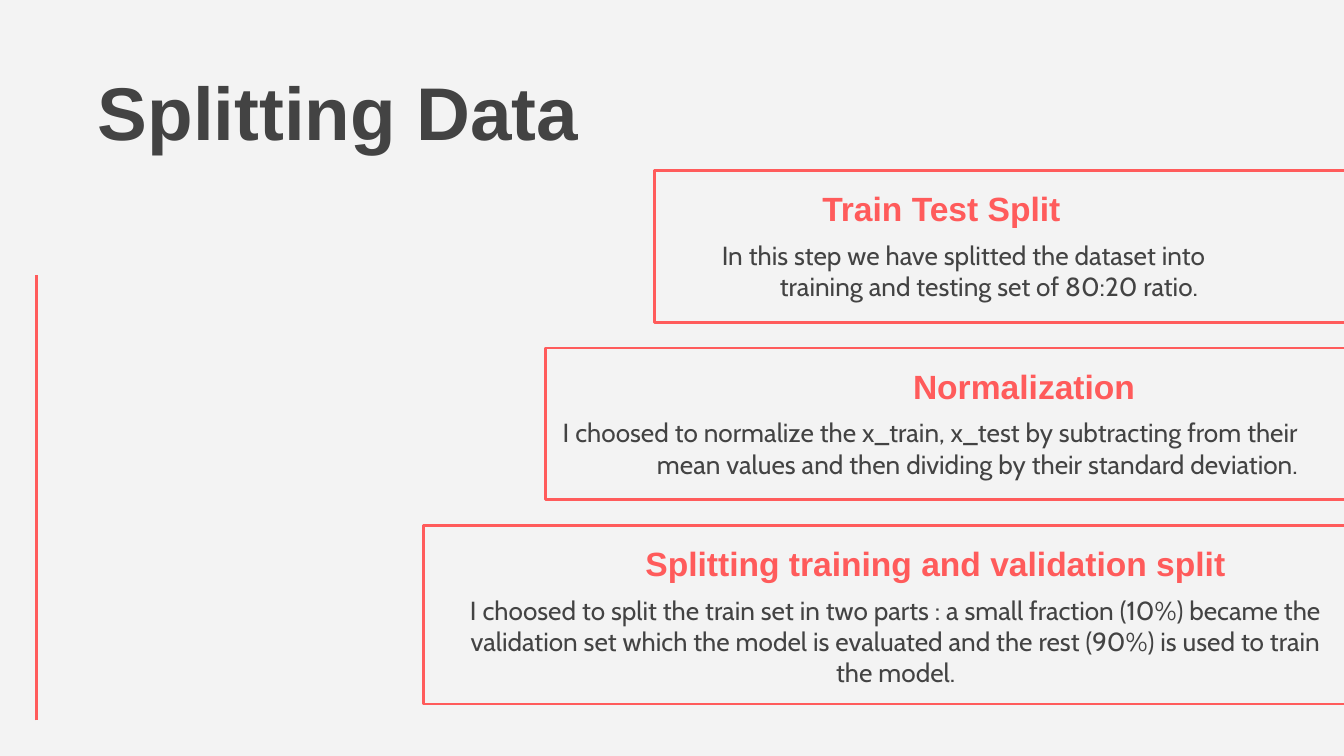
import dataclasses

import pptx
import pptx.dml.color
import pptx.enum.shapes
import pptx.enum.text
import pptx.oxml.ns
import pptx.util
from lxml import etree

Inches = pptx.util.Inches
Pt = pptx.util.Pt
Align = pptx.enum.text.PP_ALIGN
Color = pptx.dml.color.RGBColor.from_string


@dataclasses.dataclass(frozen=True)
class Theme:
    """Hold the colours, fonts and sizes of the slide."""
    paper: str = "F3F3F3"
    ink: str = "434343"
    coral: str = "FF5B5B"
    head: str = "Arial"
    body: str = "Cabin"
    large: int = 40
    mid: int = 18
    small: int = 14
    rule: float = 1.5


THEME = Theme()
RIGHT = 10.15
TOP = 1.27
STEP = 1.32

STEPS = [
    dict(left=4.87, high=1.13,
         title="Train Test Split", head=(6.02, 3.2, Align.LEFT),
         text="In this step we have splitted the dataset into training and "
              "testing set of 80:20 ratio.",
         body=(5, 4.22, Align.CENTER), dent=(0.5, -0.38)),
    dict(left=4.06, high=1.13,
         title="Normalization", head=(6.02, 3.2, Align.CENTER),
         text="I choosed to normalize the x_train, x_test by subtracting from "
              "their mean values and then dividing by their standard deviation.",
         body=(4.06, 5.7, Align.RIGHT), dent=(0, 0)),
    dict(left=3.15, high=1.33,
         title="Splitting training and validation split",
         head=(3.98, 5.24, Align.RIGHT),
         text="I choosed to split the train set in two parts : a small fraction "
              "(10%) became the validation set which the model is evaluated and "
              "the rest (90%) is used to train the model.",
         body=(3.33, 6.67, Align.CENTER), dent=(0, 0)),
]


def add_rule(slide, x, top, end):
    """Draw a vertical accent line."""
    line = slide.shapes.add_connector(
        pptx.enum.shapes.MSO_CONNECTOR.STRAIGHT,
        Inches(x), Inches(end), Inches(x), Inches(top))
    line.line.color.rgb = Color(THEME.coral)
    line.line.width = Pt(THEME.rule)
    etree.SubElement(line._element.spPr, pptx.oxml.ns.qn("a:effectLst"))


def add_frame(slide, left, top, wide, high):
    """Draw an outlined box with no fill."""
    frame = slide.shapes.add_shape(
        pptx.enum.shapes.MSO_SHAPE.RECTANGLE,
        Inches(left), Inches(top), Inches(wide), Inches(high))
    frame.shadow.inherit = False
    frame.fill.background()
    frame.line.color.rgb = Color(THEME.coral)
    frame.line.width = Pt(THEME.rule)


def add_text(slide, text, area, font, size, color, bold=False,
             align=Align.LEFT, dent=(0, 0), lead=0):
    """Place one paragraph of styled text."""
    box = slide.shapes.add_textbox(*map(Inches, area))
    frame = box.text_frame
    frame.word_wrap = True
    frame.margin_left = frame.margin_right = Inches(0.1)
    frame.margin_top = frame.margin_bottom = Inches(0.1)
    para = frame.paragraphs[0]
    para.text = text
    para.alignment = align
    para.space_before = Pt(lead)
    para.font.name = font
    para.font.size = Pt(size)
    para.font.bold = bold
    para.font.color.rgb = Color(color)
    props = para._p.get_or_add_pPr()
    props.set("marL", str(Inches(dent[0])))
    props.set("indent", str(Inches(dent[1])))


def add_step(slide, step, top):
    """Draw one framed step with its heading and text."""
    add_frame(slide, step["left"], top, RIGHT - step["left"], step["high"])
    left, wide, align = step["head"]
    add_text(slide, step["title"], (left, top + 0.03, wide, 0.42),
             THEME.head, THEME.mid, THEME.coral, True, align, lead=2)
    left, wide, align = step["body"]
    add_text(slide, step["text"], (left, top + 0.41, wide, 0.64),
             THEME.body, THEME.small, THEME.ink, False, align, step["dent"])


def main():
    """Build and save the slide."""
    deck = pptx.Presentation()
    deck.slide_width = Inches(10)
    deck.slide_height = Inches(10 * 9 / 16)
    slide = deck.slides.add_slide(deck.slide_layouts[6])
    slide.background.fill.solid()
    slide.background.fill.fore_color.rgb = Color(THEME.paper)
    add_rule(slide, 0.27, 2.05, 5.36)
    add_text(slide, "Splitting Data", (0.48, 0.39, 4.4, 0.8),
             THEME.head, THEME.large, THEME.ink, True, dent=(0.15, 0), lead=4)
    for row, step in enumerate(STEPS):
        add_step(slide, step, TOP + row * STEP)
    deck.save("out.pptx")


if __name__ == "__main__":
    main()
